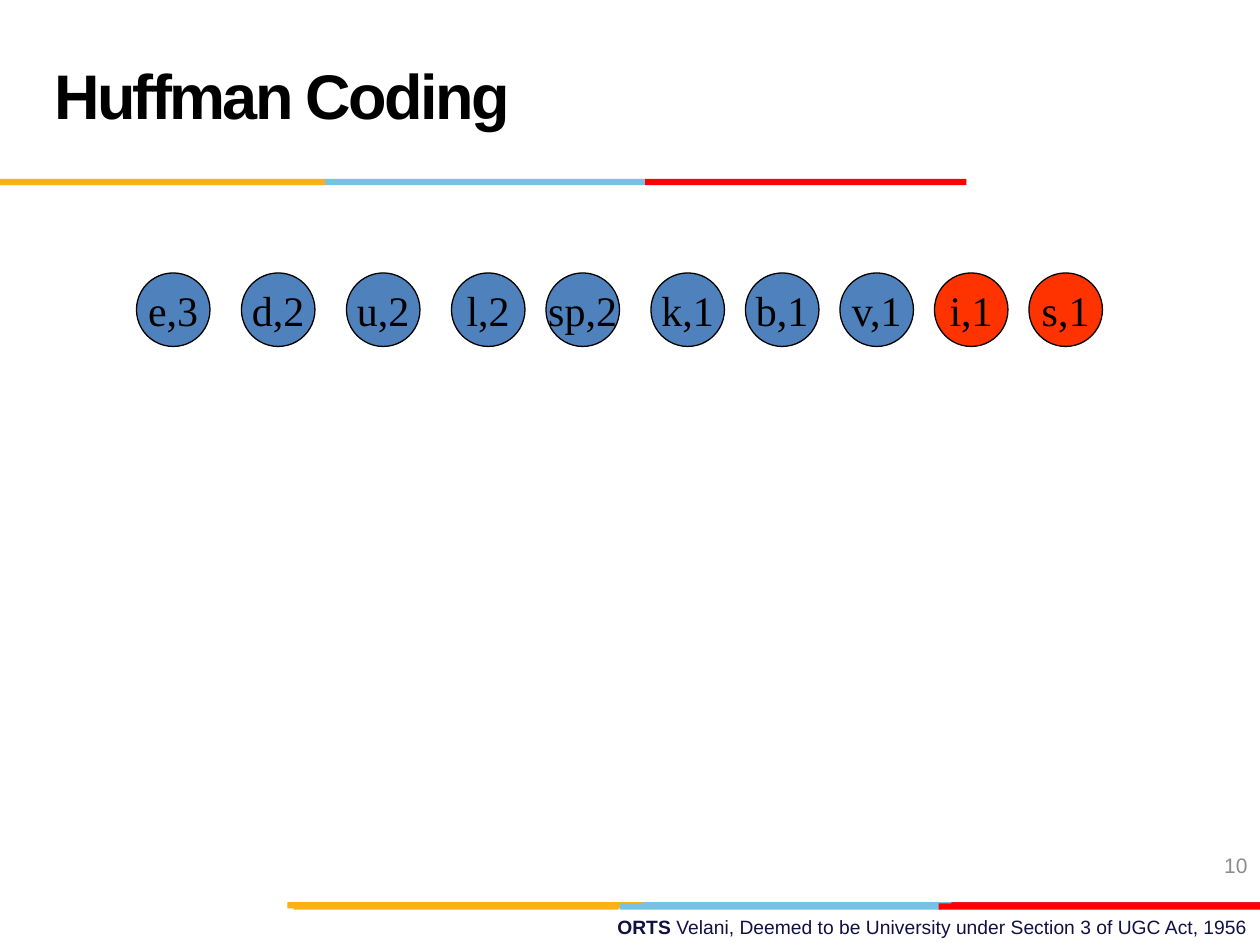
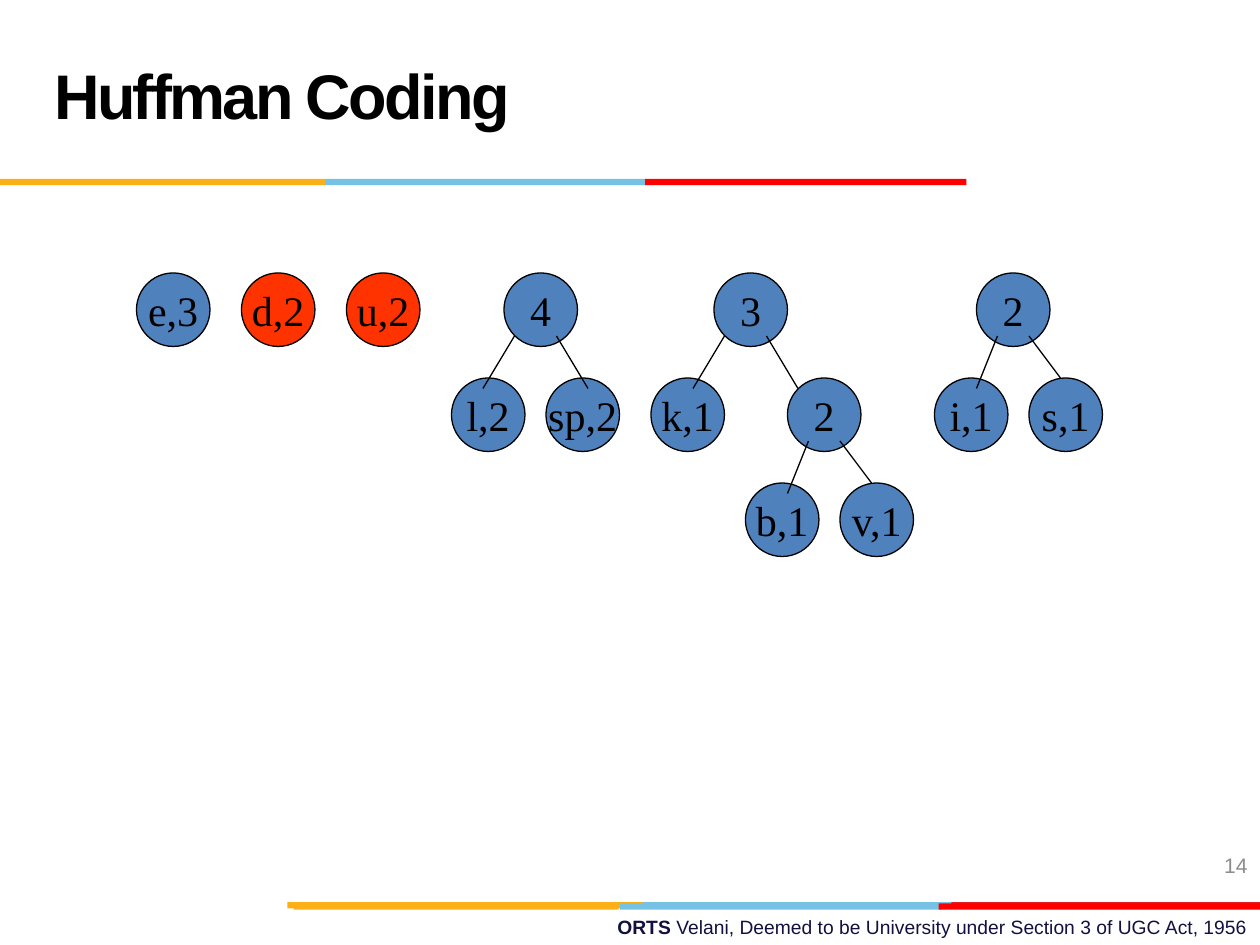
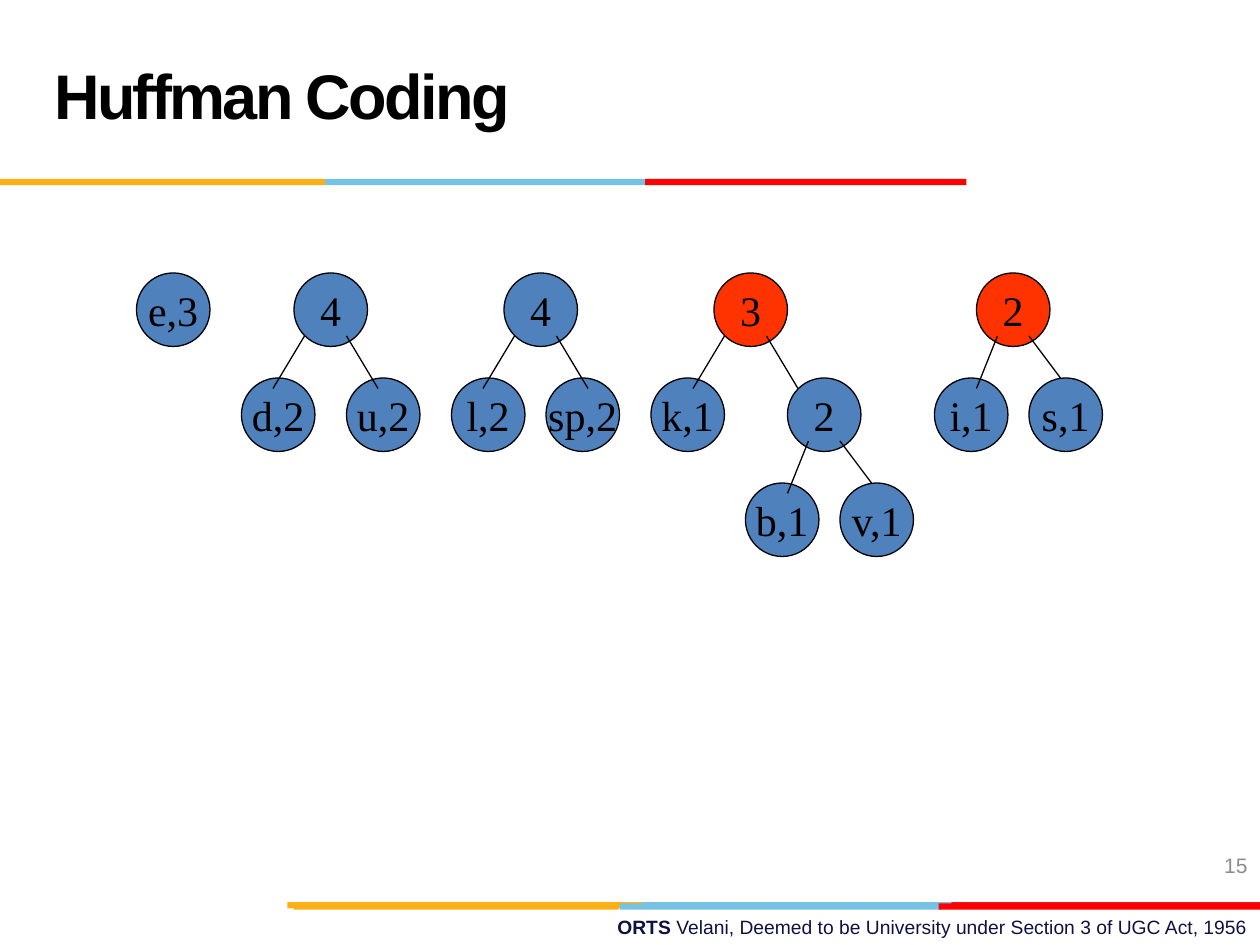
from dataclasses import dataclass

from pptx import Presentation
from pptx.dml.color import RGBColor
from pptx.enum.shapes import MSO_CONNECTOR, MSO_SHAPE
from pptx.enum.text import MSO_ANCHOR, PP_ALIGN
from pptx.oxml.ns import qn
from pptx.util import Inches, Pt

BLACK = RGBColor(0x00, 0x00, 0x00)
GOLD = RGBColor(0xFC, 0xB0, 0x17)
SKY = RGBColor(0x76, 0xC2, 0xE5)
RED = RGBColor(0xFF, 0x00, 0x00)
CRIMSON = RGBColor(0xE3, 0x1C, 0x24)
NAVY = RGBColor(0x10, 0x11, 0x41)
GREY = RGBColor(0x8C, 0x8C, 0x8C)
NODE_BLUE = RGBColor(0x4F, 0x81, 0xBD)
NODE_RED = RGBColor(0xFF, 0x33, 0x00)

# Each stripe: left, top, width, colour
STRIPES = [
    (5.06, 7.16, 2.55, SKY), (7.55, 7.16, 2.45, CRIMSON), (2.28, 7.16, 2.82, GOLD),
    (4.92, 7.17, 2.55, SKY), (2.33, 7.17, 2.58, GOLD), (7.45, 7.17, 2.55, RED),
    (2.58, 1.42, 2.55, SKY), (0, 1.42, 2.58, GOLD), (5.12, 1.42, 2.55, RED),
]
STRIPE_HEIGHT = 0.05

# The trees sit on a grid with twelve units to the inch
UNITS = 12
FOREST_TOP = 26
LEVEL_STEP = 10
DIAMETER = 7

# Branches as (x, y) to (x, y), in units from the parent's corner
WIDE = (((1, 6), (-2, 11)), ((5, 6), (8, 11)))
NARROW = (((2, 6), (0, 11)), ((5, 6), (8, 10)))


@dataclass(frozen=True)
class Node:
    label: str
    column: int
    children: tuple = ()
    branches: tuple = ()


E, D, U, L = Node("e,3", 13), Node("d,2", 23), Node("u,2", 33), Node("l,2", 43)
SP, K, B, V = Node("sp,2", 52), Node("k,1", 62), Node("b,1", 71), Node("v,1", 80)
I, S = Node("i,1", 89), Node("s,1", 98)
I_S = Node("2", 93, (I, S), NARROW)
B_V = Node("2", 75, (B, V), NARROW)
K_B_V = Node("3", 68, (K, B_V), WIDE)
L_SP = Node("4", 48, (L, SP), WIDE)
D_U = Node("4", 28, (D, U), WIDE)

# Each step: slide number, roots, nodes to be merged next
STEPS = [
    ("10", (E, D, U, L, SP, K, B, V, I, S), (I, S)),
    ("14", (E, D, U, L_SP, K_B_V, I_S), (D, U)),
    ("15", (E, D_U, L_SP, K_B_V, I_S), (K_B_V, I_S)),
]


def grid(units):
    return Inches(units / UNITS)


def style(font, name, size, color, bold=False):
    font.name, font.size, font.bold = name, Pt(size), bold
    font.color.rgb = color


def add_title(page, text):
    title = page.shapes.title
    title.left, title.top = Inches(0.33), Inches(0.17)
    title.width, title.height = Inches(6.92), Inches(1.25)
    frame = title.text_frame
    frame.vertical_anchor = MSO_ANCHOR.MIDDLE
    para = frame.paragraphs[0]
    para.alignment = PP_ALIGN.LEFT
    para.line_spacing = Pt(36)
    span = para.add_run()
    span.text = text
    style(span.font, "Arial", 36, BLACK, bold=True)
    span.font._element.set("spc", "-150")


def add_right_text(page, left, top, width, height, spans, size, color):
    """Add right-aligned text; spans are pairs of text and bold."""
    box = page.shapes.add_textbox(Inches(left), Inches(top), Inches(width), Inches(height))
    frame = box.text_frame
    frame.word_wrap = True
    frame.vertical_anchor = MSO_ANCHOR.MIDDLE
    para = frame.paragraphs[0]
    para.alignment = PP_ALIGN.RIGHT
    for text, bold in spans:
        span = para.add_run()
        span.text = text
        style(span.font, "Arial", size, color, bold)


def add_stripes(page):
    for left, top, width, color in STRIPES:
        stripe = page.shapes.add_shape(
            MSO_SHAPE.RECTANGLE, Inches(left), Inches(top), Inches(width), Inches(STRIPE_HEIGHT))
        stripe.shadow.inherit = False
        stripe.fill.solid()
        stripe.fill.fore_color.rgb = color
        stripe.line.fill.background()


def add_frame(page, number):
    """Add what every slide shares: footer, stripes, title and slide number."""
    footer = [("ORTS ", True),
              ("Velani, Deemed to be University under Section 3 of UGC Act, 1956", False)]
    add_right_text(page, 3.58, 7.21, 6.42, 0.29, footer, 11, NAVY)
    add_stripes(page)
    add_title(page, "Huffman Coding")
    add_right_text(page, 7.67, 6.67, 2.33, 0.4, [(number, False)], 12, GREY)


def add_circle(page, node, top, color):
    circle = page.shapes.add_shape(
        MSO_SHAPE.OVAL, grid(node.column), grid(top), grid(DIAMETER), grid(DIAMETER))
    circle.shadow.inherit = False
    circle.fill.solid()
    circle.fill.fore_color.rgb = color
    circle.line.color.rgb = BLACK
    circle.line.width = Pt(0.75)
    frame = circle.text_frame
    frame.word_wrap = False
    frame.vertical_anchor = MSO_ANCHOR.MIDDLE
    para = frame.paragraphs[0]
    para.text = node.label
    para.alignment = PP_ALIGN.CENTER
    style(para.font, "Times New Roman", 24, BLACK)


def add_branch(page, left, top, start, end):
    branch = page.shapes.add_connector(
        MSO_CONNECTOR.STRAIGHT, grid(left + start[0]), grid(top + start[1]),
        grid(left + end[0]), grid(top + end[1]))
    branch.line.color.rgb = BLACK
    branch.line.width = Pt(0.75)
    properties = branch.element.spPr
    properties.append(properties.makeelement(qn("a:effectLst"), {}))


def add_tree(page, node, top, merging):
    for child in node.children:
        add_tree(page, child, top + LEVEL_STEP, merging)
    add_circle(page, node, top, NODE_RED if node in merging else NODE_BLUE)
    for start, end in node.branches:
        add_branch(page, node.column, top, start, end)


def main():
    deck = Presentation()
    deck.slide_width, deck.slide_height = Inches(10), Inches(7.5)
    title_only = deck.slide_layouts[5]
    for number, roots, merging in STEPS:
        page = deck.slides.add_slide(title_only)
        add_frame(page, number)
        for root in roots:
            add_tree(page, root, FOREST_TOP, merging)
    deck.save("out.pptx")


if __name__ == "__main__":
    main()
